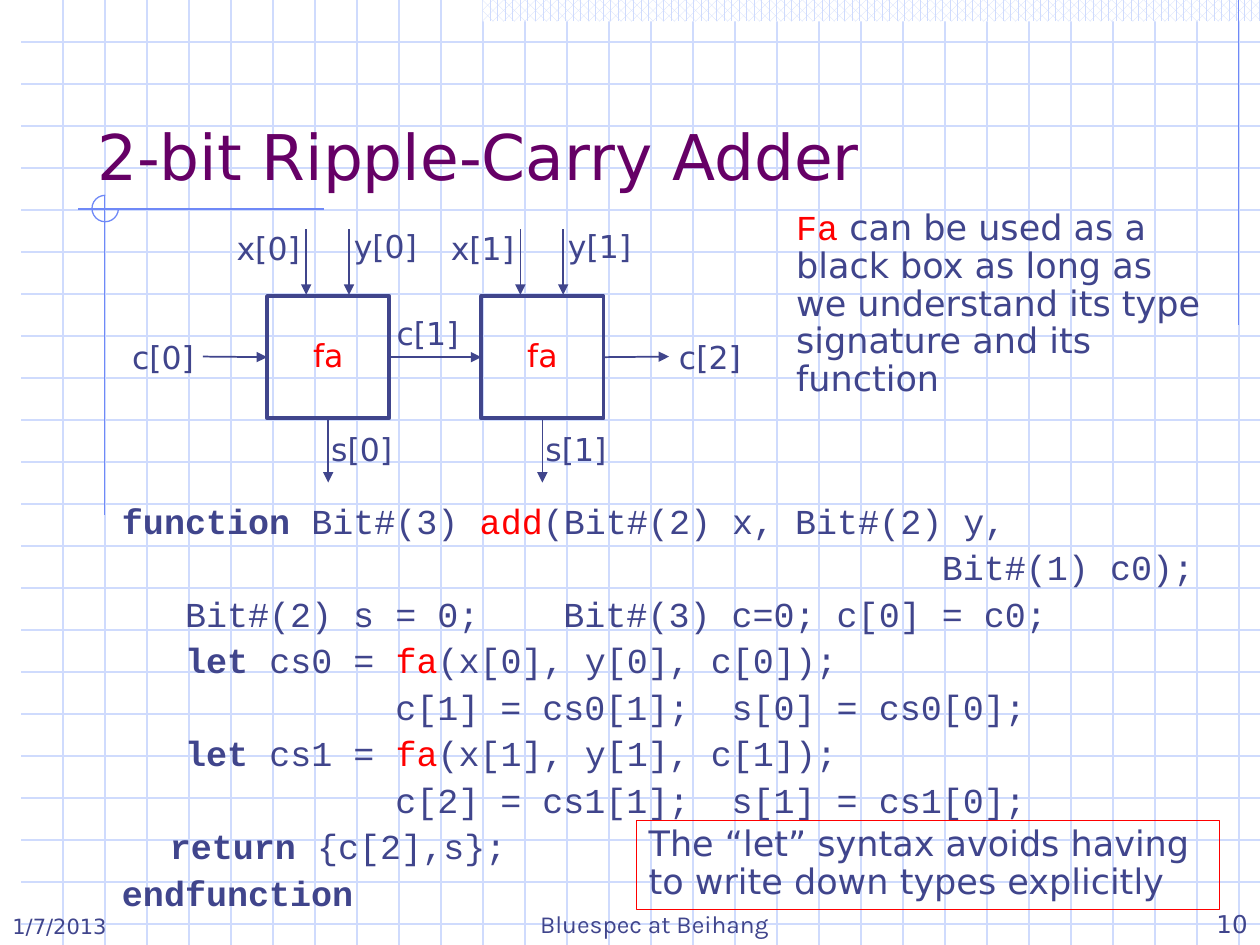
"""Build the slide on a 2-bit ripple-carry adder."""
from pptx import Presentation
from pptx.dml.color import RGBColor
from pptx.enum.dml import MSO_PATTERN as Pat
from pptx.enum.shapes import MSO_CONNECTOR as Conn, MSO_SHAPE as Geo
from pptx.enum.text import MSO_ANCHOR as Anc, MSO_AUTO_SIZE as Auto, PP_ALIGN as Al
from pptx.oxml.ns import qn
from pptx.util import Inches, Pt
from lxml.etree import SubElement

INK, RED, PALE, BLUE = "40458C", "FF0000", "CFDBFD", "6F89F7"
SANS, MONO = "DejaVu Sans", "Courier New"
rgb = RGBColor.from_string


def add_line(x1, y1, x2, y2, hue, width=0.75, arrow=False):
    """Draw a straight line, with an arrowhead at its end if wanted."""
    line = shapes.add_connector(Conn.STRAIGHT, *map(Inches, (x1, y1, x2, y2)))
    line.line.color.rgb = rgb(hue)
    line.line.width = Pt(width)
    if arrow:
        SubElement(line.line._get_or_add_ln(), qn("a:tailEnd"), type="triangle")
    SubElement(line._element.spPr, qn("a:effectLst"))
    return line


def add_run(para, text, size, hue=INK, font=SANS, bold=False):
    """Append one formatted run to a paragraph."""
    run = para.add_run()
    run.text = text
    run.font.size = Pt(size)
    run.font.name = font
    run.font.bold = bold
    run.font.color.rgb = rgb(hue)


deck = Presentation()
deck.slide_width, deck.slide_height = Inches(10), Inches(7.5)
slide = deck.slides.add_slide(deck.slide_layouts[5])
shapes = slide.shapes

for row in range(1, 23):
    add_line(0.17, row / 3, 10.17, row / 3, PALE)
for col in range(29):
    add_line(0.5 + col / 3, 0, 0.5 + col / 3, 7.5, PALE)

band = shapes.add_shape(Geo.RECTANGLE, Inches(3.83), 0, Inches(6.33), Inches(0.17))
band.shadow.inherit = False
band.fill.patterned()
band.fill.pattern = Pat.PERCENT_60
band.fill.fore_color.rgb = rgb(PALE)
band.fill.back_color.rgb = rgb("FFFFFF")
band.line.fill.background()

add_line(9.83, 0, 9.83, 2.58, BLUE)
add_line(2.57, 1.66, 0.62, 1.66, BLUE)
add_line(0.83, 1.55, 0.83, 4.09, BLUE)
ring = shapes.add_shape(Geo.ARC, Inches(0.73), Inches(1.55), Inches(0.21), Inches(0.21))
ring.shadow.inherit = False
ring.adjustments[0], ring.adjustments[1] = 0, 162
ring.fill.background()
ring.line.color.rgb = rgb(BLUE)
ring.line.width = Pt(0.75)

title = shapes.title
shapes._spTree.append(title._element)
title.left, title.top = Inches(0.67), Inches(0.33)
title.width, title.height = Inches(8.5), Inches(1.25)
frame = title.text_frame
frame.auto_size = Auto.NONE
frame.vertical_anchor = Anc.BOTTOM
frame.paragraphs[0].alignment = Al.LEFT
add_run(frame.paragraphs[0], "2-bit Ripple-Carry Adder", 36, "660066")

code = [
    [("function", INK, True), (" Bit#(3) ", INK, False), ("add", RED, False),
     ("(Bit#(2) x, Bit#(2) y,", INK, False)],
    [("                                       Bit#(1) c0);", INK, False)],
    [("   Bit#(2) s = 0;    Bit#(3) c=0; c[0] = c0;", INK, False)],
]
for i in range(2):
    code += [
        [("   ", INK, False), ("let", INK, True), (f" cs{i} = ", INK, False),
         ("fa", RED, False), (f"(x[{i}], y[{i}], c[{i}]);", INK, False)],
        [(f"             c[{i + 1}] = cs{i}[1];  s[{i}] = cs{i}[0];", INK, False)],
    ]
code += [
    [("\t", INK, False), ("return ", INK, True), ("{c[2],s};", INK, False)],
    [("endfunction", INK, True)],
]
box = shapes.add_textbox(Inches(0.87), Inches(3.95), Inches(8.8), Inches(3.24))
frame = box.text_frame
frame.word_wrap = True
for i, row in enumerate(code):
    para = frame.add_paragraph() if i else frame.paragraphs[0]
    para.line_spacing = 0.9
    para.space_before = Pt(5 if i else 0)
    props = para._p.get_or_add_pPr()
    props.set("marL", str(Inches(0.38)))
    props.set("indent", str(-Inches(0.38)))
    for text, hue, bold in row:
        add_run(para, text, 20, hue, MONO, bold)

step, side, mid = 1.7, 0.97, 2.83
cells = []
for i in range(2):
    left = 2.12 + i * step
    cell = shapes.add_shape(Geo.RECTANGLE, Inches(left), Inches(2.35), Inches(side), Inches(side))
    cell.shadow.inherit = False
    cell.fill.background()
    cell.line.color.rgb = rgb(INK)
    cell.line.width = Pt(2.25)
    frame = cell.text_frame
    frame.word_wrap = False
    frame.vertical_anchor = Anc.MIDDLE
    para = frame.paragraphs[0]
    para.alignment = Al.CENTER
    para.line_spacing = 0.9
    add_run(para, "fa", 18, RED)
    cells.append(cell)
    for gap in (0.31, 0.65):
        add_line(left + gap, 1.82, left + gap, 2.34, INK, 1, True)
    out = add_line(left + side / 2, 3.32, left + side / 2, 3.83, INK, 1, True)
    out.begin_connect(cell, 2)

carry = add_line(1.61, mid, 2.12, mid, INK, 1, True)
carry.end_connect(cells[0], 1)
carry = add_line(3.09, mid, 3.82, mid, INK, 1, True)
carry.begin_connect(cells[0], 3)
carry.end_connect(cells[1], 1)
carry = add_line(4.79, mid, 5.31, mid, INK, 1, True)
carry.begin_connect(cells[1], 3)

tags = [("c[0]", 0.95, 2.67, 0.72), ("c[1]", 3.05, 2.48, 0.72), ("c[2]", 5.29, 2.67, 0.72)]
for i in range(2):
    tags += [
        (f"x[{i}]", 1.78 + i * step, 1.8, 0.74),
        (f"y[{i}]", 2.71 + i * step, 1.79, 0.74),
        (f"s[{i}]", 2.53 + i * step, 3.4, 0.72),
    ]
for text, left, top, width in tags:
    box = shapes.add_textbox(Inches(left), Inches(top), Inches(width), Inches(0.37))
    frame = box.text_frame
    frame.word_wrap = False
    frame.auto_size = Auto.SHAPE_TO_FIT_TEXT
    frame.paragraphs[0].line_spacing = 0.9
    add_run(frame.paragraphs[0], text, 18)

box = shapes.add_textbox(Inches(6.22), Inches(1.62), Inches(3.45), Inches(1.62))
frame = box.text_frame
frame.word_wrap = True
frame.auto_size = Auto.SHAPE_TO_FIT_TEXT
para = frame.paragraphs[0]
para.line_spacing = 0.9
add_run(para, "Fa", 20, RED, MONO)
add_run(para, " can be used as a black box as long as we understand "
        "its type signature and its function", 20)

feet = [
    ("1/7/2013", 0, 2.08, Al.LEFT, 12, SANS),
    ("Bluespec at Beihang", 3.39, 3.61, Al.CENTER, 14, "Karla"),
    ("10", 7.92, 2.08, Al.RIGHT, 14, SANS),
]
for text, left, width, align, size, font in feet:
    box = shapes.add_textbox(Inches(left), Inches(7), Inches(width), Inches(0.5))
    frame = box.text_frame
    frame.word_wrap = True
    frame.vertical_anchor = Anc.BOTTOM
    frame.paragraphs[0].alignment = align
    add_run(frame.paragraphs[0], text, size, INK, font)

note = shapes.add_shape(Geo.RECTANGLE, Inches(5.05), Inches(6.51), Inches(4.63), Inches(0.71))
note.shadow.inherit = False
note.fill.background()
note.line.color.rgb = rgb(RED)
note.line.width = Pt(0.75)
frame = note.text_frame
frame.word_wrap = True
frame.auto_size = Auto.SHAPE_TO_FIT_TEXT
frame.vertical_anchor = Anc.TOP
para = frame.paragraphs[0]
para.alignment = Al.LEFT
para.line_spacing = 0.9
add_run(para, "The “let” syntax avoids having to write down types explicitly", 20)

deck.save("out.pptx")
